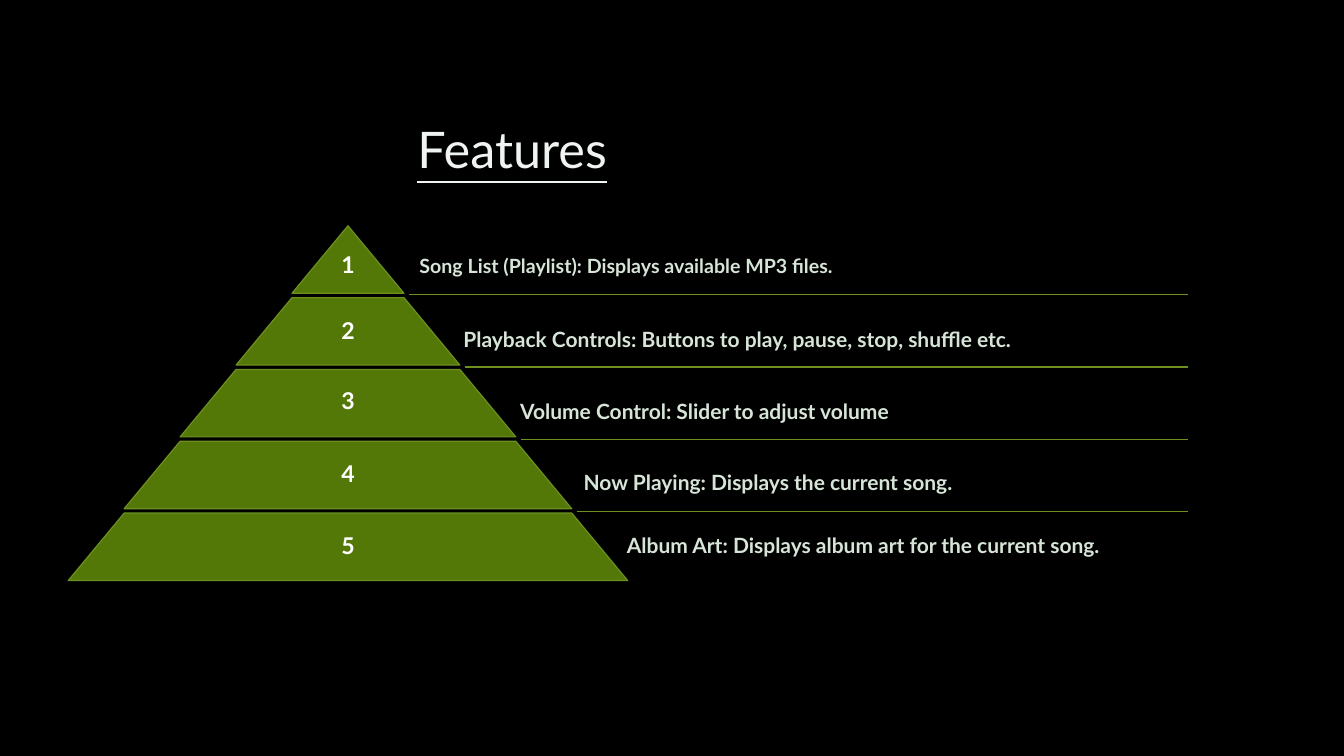
"""Build a one-slide deck showing player features as a five-tier pyramid."""

import pptx
import pptx.dml.color
import pptx.enum.shapes
import pptx.enum.text
import pptx.oxml
import pptx.util
from pptx.util import Cm, Pt

RGBColor = pptx.dml.color.RGBColor
Align = pptx.enum.text.PP_ALIGN

BLACK = RGBColor(0x00, 0x00, 0x00)
WHITE = RGBColor(0xFF, 0xFF, 0xFF)
TIER_GREEN = RGBColor(0x53, 0x78, 0x08)
EDGE_GREEN = RGBColor(0x6D, 0x90, 0x20)
LABEL_COLOR = RGBColor(0xD7, 0xE5, 0xD8)
TITLE_COLOR = RGBColor(0xF0, 0xF4, 0xF1)
FONT = "Lato"

CENTER, PYRAMID_TOP = 8.77, 5.69
TIER_PITCH, TIER_HEIGHT, TIER_STEP = 1.81, 1.7, 1.41
RULE_LEFT, RULE_RIGHT, RULE_TOP, RULE_PITCH = 10.3, 29.95, 7.43, 1.82
NUMBER_WIDTH = 0.7

FEATURES = [
    ("Song List (Playlist): Displays available MP3 files.", 14, 10.57, 5.87, 6.27),
    ("Playback Controls: Buttons to play, pause, stop, shuffle etc.", 15, 11.68, 7.75, 7.92),
    ("Volume Control: Slider to adjust volume", 15, 13.11, 9.55, 9.7),
    ("Now Playing: Displays the current song.", 15, 14.71, 11.35, 11.53),
    ("Album Art: Displays album art for the current song.", 15, 15.8, 12.93, 13.34),
]


def place_text(shape, text, size, color, bold=False, align=Align.LEFT):
    """Fill a shape with one paragraph in a frame without margins."""
    frame = shape.text_frame
    frame.word_wrap = True
    frame.auto_size = pptx.enum.text.MSO_AUTO_SIZE.NONE
    frame.vertical_anchor = pptx.enum.text.MSO_ANCHOR.TOP
    frame.margin_left = frame.margin_right = frame.margin_top = frame.margin_bottom = 0
    frame.text = text
    paragraph = frame.paragraphs[0]
    paragraph.alignment = align
    font = paragraph.font
    font.name, font.size, font.bold = FONT, Pt(size), bold
    font.color.rgb = color
    return paragraph


def set_title(slide):
    """Place and format the underlined title."""
    title = slide.shapes.title
    title.left, title.top, title.width, title.height = Cm(10.52), Cm(2.24), Cm(12.22), Cm(2.01)
    paragraph = place_text(title, "Features", 36, TITLE_COLOR)
    paragraph.line_spacing = Pt(64.3)
    paragraph.font.underline = True


def add_tier(slide, index):
    """Draw one tier of the pyramid, counted from the tip."""
    top = PYRAMID_TOP + index * TIER_PITCH
    bottom = top + TIER_HEIGHT
    half_top, half_bottom = index * TIER_STEP, (index + 1) * TIER_STEP
    corners = [
        (CENTER - half_top, top),
        (CENTER + half_top, top),
        (CENTER + half_bottom, bottom),
        (CENTER - half_bottom, bottom),
    ]
    points = [(Cm(x), Cm(y)) for x, y in corners]
    builder = slide.shapes.build_freeform(*points[0])
    builder.add_line_segments(points[1:], close=True)
    tier = builder.convert_to_shape()
    tier.shadow.inherit = False
    tier.fill.solid()
    tier.fill.fore_color.rgb = TIER_GREEN
    tier.line.color.rgb = EDGE_GREEN
    tier.line.width = Pt(0.84)


def add_number(slide, number, top):
    """Write a tier number on the pyramid's axis."""
    box = slide.shapes.add_textbox(
        Cm(CENTER - NUMBER_WIDTH / 2), Cm(top), Cm(NUMBER_WIDTH), Cm(0.76)
    )
    paragraph = place_text(box, str(number), 16.5, WHITE, True, Align.CENTER)
    box.text_frame.margin_top = Cm(0.05)
    paragraph.space_before = Pt(1.4)


def add_rule(slide, index):
    """Draw the thin line that runs right from below a tier."""
    y = Cm(RULE_TOP + index * RULE_PITCH)
    rule = slide.shapes.add_connector(
        pptx.enum.shapes.MSO_CONNECTOR.STRAIGHT,
        Cm(RULE_LEFT + index * TIER_STEP), y, Cm(RULE_RIGHT), y,
    )
    rule.line.color.rgb = EDGE_GREEN
    rule.line.width = Pt(0.84)
    properties = rule._element.spPr
    properties.append(pptx.oxml.parse_xml(
        '<a:effectLst xmlns:a="http://schemas.openxmlformats.org/drawingml/2006/main"/>'
    ))


def add_label(slide, text, size, left, top):
    """Write the description beside a tier."""
    box = slide.shapes.add_textbox(Cm(left), Cm(top), Cm(15.5), Cm(0.97))
    paragraph = place_text(box, text, size, LABEL_COLOR, True)
    paragraph.line_spacing = Pt(31.7)


def main():
    """Assemble and save the slide."""
    presentation = pptx.Presentation()
    presentation.slide_width, presentation.slide_height = Cm(33.87), Cm(19.05)
    slide = presentation.slides.add_slide(presentation.slide_layouts[5])
    slide.background.fill.solid()
    slide.background.fill.fore_color.rgb = BLACK
    set_title(slide)
    for index, (text, size, left, label_top, number_top) in enumerate(FEATURES):
        add_tier(slide, index)
        add_number(slide, index + 1, number_top)
        add_label(slide, text, size, left, label_top)
        if index < len(FEATURES) - 1:
            add_rule(slide, index)
    presentation.save("out.pptx")


if __name__ == "__main__":
    main()
